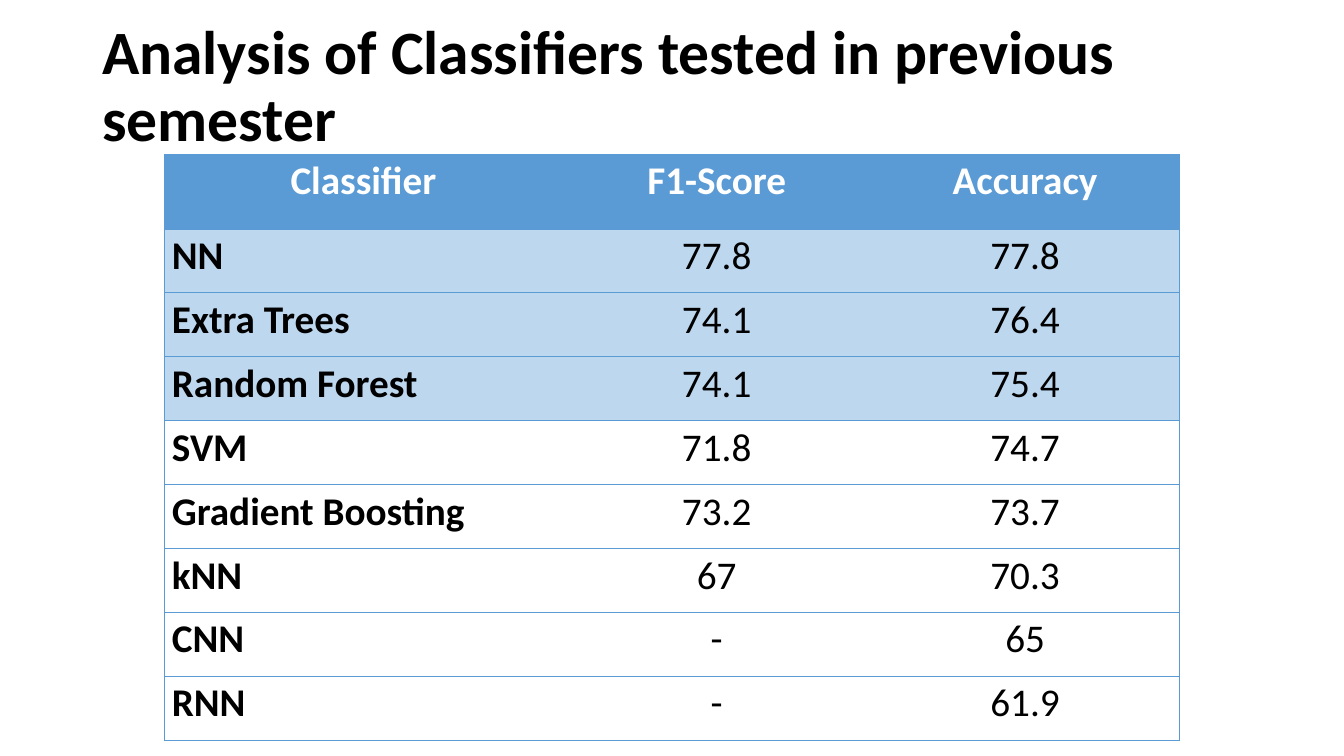
"""Build a slide with a table of classifier scores."""
from lxml.etree import SubElement
from pptx import Presentation
from pptx.dml.color import RGBColor
from pptx.enum.text import MSO_ANCHOR, PP_ALIGN
from pptx.oxml.ns import qn
from pptx.util import Pt

BLUE, LIGHT_BLUE, WHITE, BLACK = "5B9BD5", "BDD7EE", "FFFFFF", "000000"
HEADER = ("Classifier", "F1-Score", "Accuracy")
SCORES = [
    ("NN", "77.8", "77.8"),
    ("Extra Trees", "74.1", "76.4"),
    ("Random Forest", "74.1", "75.4"),
    ("SVM", "71.8", "74.7"),
    ("Gradient Boosting", "73.2", "73.7"),
    ("kNN", "67", "70.3"),
    ("CNN", "-", "65"),
    ("RNN", "-", "61.9"),
]
TOP_COUNT = 3
COLUMN_WIDTHS = (284.4, 220.3, 220.3)
HEADER_HEIGHT, ROW_HEIGHT = 53.3, 45.65


def write(para, text, size, color, bold):
    span = para.add_run()
    span.text = text
    span.font.name = "Calibri"
    span.font.size = Pt(size)
    span.font.bold = bold
    span.font.color.rgb = RGBColor.from_string(color)


def set_border(cell, side, color):
    line = SubElement(cell._tc.get_or_add_tcPr(), qn(f"a:ln{side}"), w=str(Pt(0.5)))
    if color:
        fill = SubElement(line, qn("a:solidFill"))
        SubElement(fill, qn("a:srgbClr"), val=color)
    else:
        SubElement(line, qn("a:noFill"))


deck = Presentation()
deck.slide_width, deck.slide_height = Pt(960), Pt(540)
page = deck.slides.add_slide(deck.slide_layouts[6])

title_box = page.shapes.add_textbox(Pt(66), Pt(10.8), Pt(828), Pt(104.4))
title_box.text_frame.word_wrap = True
title_box.text_frame.vertical_anchor = MSO_ANCHOR.MIDDLE
title = title_box.text_frame.paragraphs[0]
title.line_spacing = 0.9
write(title, "Analysis of Classifiers tested in previous semester", 44, BLACK, True)

rows = [HEADER] + SCORES
table_height = HEADER_HEIGHT + ROW_HEIGHT * len(SCORES)
table = page.shapes.add_table(
    len(rows), len(HEADER), Pt(117.4), Pt(110.2), Pt(sum(COLUMN_WIDTHS)), Pt(table_height)
).table
table.horz_banding = False
for column, width in zip(table.columns, COLUMN_WIDTHS):
    column.width = Pt(width)

last_column = len(HEADER) - 1
for row_index, values in enumerate(rows):
    is_header = row_index == 0
    table.rows[row_index].height = Pt(HEADER_HEIGHT if is_header else ROW_HEIGHT)
    if is_header:
        fill_color = BLUE
    else:
        fill_color = LIGHT_BLUE if row_index <= TOP_COUNT else WHITE
    for column_index, value in enumerate(values):
        is_name = column_index == 0
        cell = table.cell(row_index, column_index)
        cell.margin_left = cell.margin_right = Pt(5.4)
        cell.margin_top = cell.margin_bottom = Pt(0)
        set_border(cell, "L", BLUE if is_name else None)
        set_border(cell, "R", BLUE if column_index == last_column else None)
        set_border(cell, "T", BLUE)
        set_border(cell, "B", BLUE)
        cell.fill.solid()
        cell.fill.fore_color.rgb = RGBColor.from_string(fill_color)
        para = cell.text_frame.paragraphs[0]
        para.line_spacing = 1.07
        para.alignment = PP_ALIGN.JUSTIFY if is_name and not is_header else PP_ALIGN.CENTER
        write(para, value, 28, WHITE if is_header else BLACK, is_header or is_name)

deck.save("out.pptx")
